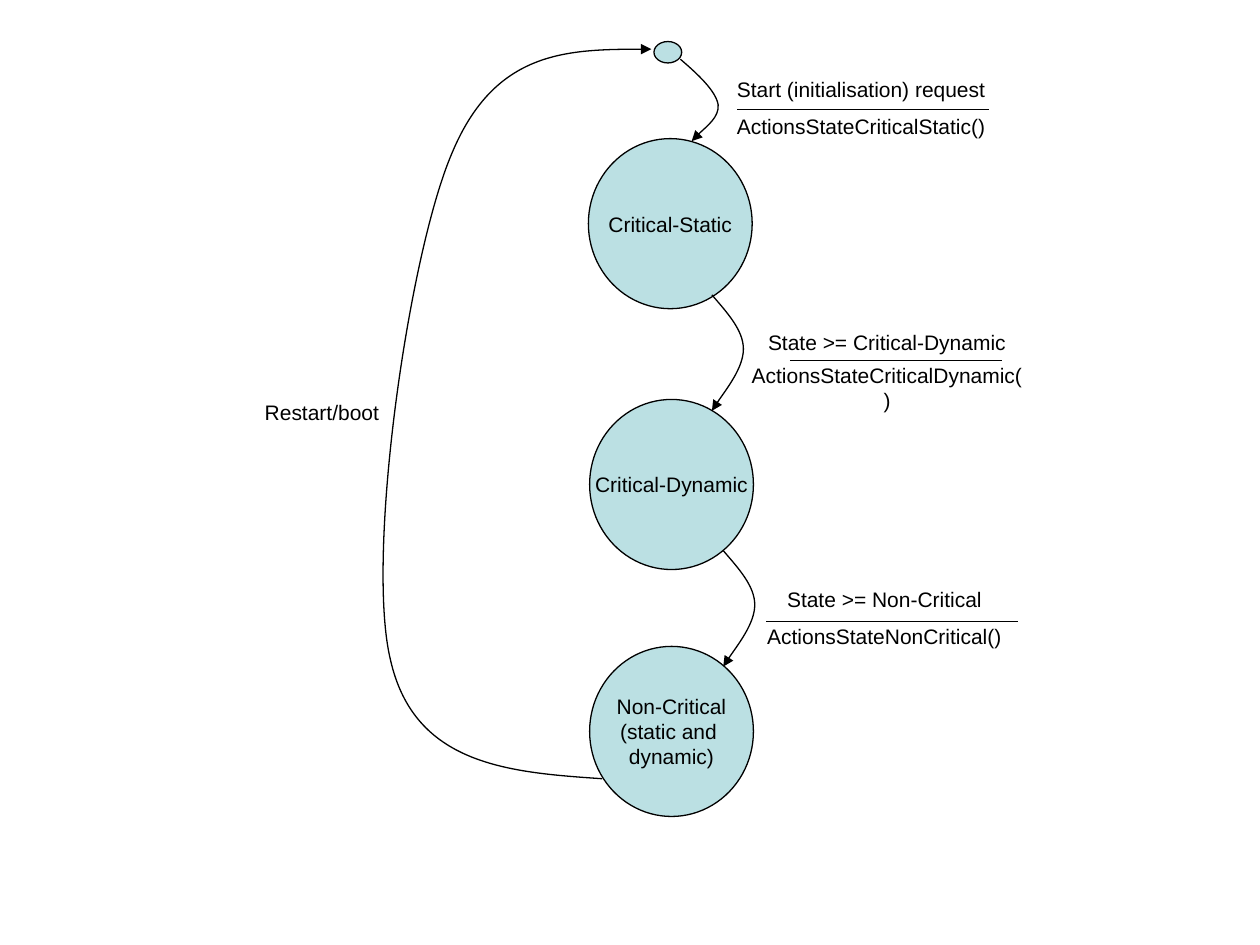
import pptx
import pptx.dml.color
import pptx.enum.shapes
import pptx.enum.text
import pptx.oxml
import pptx.oxml.ns
import pptx.util

PX = 9144
BLACK = pptx.dml.color.RGBColor(0x00, 0x00, 0x00)
PALE_TEAL = pptx.dml.color.RGBColor(0xBB, 0xE0, 0xE3)
TEXT_H = 30
STEP_CURVE = [(0, 0), (12, 14), (25, 28), (25, 43), (25, 58), (4, 85), (0, 92)]
START_CURVE = [(0, 0), (14, 12), (28, 25), (30, 36), (31, 46), (12, 61), (9, 65)]
RESTART_CURVE = [(188, 579), (113, 574), (39, 568), (20, 485), (0, 403),
                 (34, 163), (69, 82), (103, 1), (165, 0), (227, 0)]


def emu(*lengths):
    return [pptx.util.Emu(n * PX) for n in lengths]


def style_line(line):
    line.color.rgb = BLACK
    line.width = pptx.util.Pt(0.75)


def write(sp, text):
    tf = sp.text_frame
    tf.word_wrap = False
    tf.text = text
    for p in tf.paragraphs:
        p.alignment = pptx.enum.text.PP_ALIGN.CENTER
        for r in p.runs:
            r.font.name = "Arial"
            r.font.size = pptx.util.Pt(12)
            r.font.color.rgb = BLACK


def add_state(s, box, text=""):
    sp = s.shapes.add_shape(pptx.enum.shapes.MSO_SHAPE.OVAL, *emu(*box))
    sp.shadow.inherit = False
    sp.fill.solid()
    sp.fill.fore_color.rgb = PALE_TEAL
    style_line(sp.line)
    if text:
        sp.text_frame.vertical_anchor = pptx.enum.text.MSO_ANCHOR.MIDDLE
        write(sp, text)


def add_text(s, box, text):
    sp = s.shapes.add_textbox(*emu(*box))
    write(sp, text)
    sp.text_frame.auto_size = pptx.enum.text.MSO_AUTO_SIZE.SHAPE_TO_FIT_TEXT


def add_curve(s, left, top, points):
    start, *rest = [(left + x, top + y) for x, y in points]
    fb = s.shapes.build_freeform(*start, scale=PX)
    fb.add_line_segments(rest, close=False)
    sp = fb.convert_to_shape()
    sp.shadow.inherit = False
    sp.fill.background()
    style_line(sp.line)
    qn = pptx.oxml.ns.qn
    outline = next(sp._element.iter(qn("a:path")))
    segments = outline.findall(qn("a:lnTo"))
    for i in range(0, len(segments), 3):
        cubic = outline.makeelement(qn("a:cubicBezTo"), {})
        for segment in segments[i:i + 3]:
            cubic.append(segment[0])
            outline.remove(segment)
        outline.append(cubic)
    ln = sp.line._get_or_add_ln()
    ln.append(ln.makeelement(qn("a:tailEnd"), {"type": "triangle"}))


def add_rule(s, left, top, width):
    ends = emu(left, top, left + width, top)
    cxn = s.shapes.add_connector(pptx.enum.shapes.MSO_CONNECTOR.STRAIGHT, *ends)
    style_line(cxn.line)
    sp_pr = cxn._element.spPr
    sp_pr.append(sp_pr.makeelement(pptx.oxml.ns.qn("a:effectLst"), {}))


def add_transition_label(s, box, condition, action, rule):
    left, top, width, height = box
    rule_x, rule_y, rule_w = rule
    add_text(s, (left, top, width, TEXT_H), condition)
    add_text(s, (left, top + height - TEXT_H, width, TEXT_H), action)
    add_rule(s, left + rule_x, top + rule_y, rule_w)


def main():
    prs = pptx.Presentation()
    prs.slide_width, prs.slide_height = emu(1000, 750)
    s = prs.slides.add_slide(prs.slide_layouts[6])

    add_state(s, (519, 33, 22, 17))
    add_state(s, (467, 110, 130, 135), "Critical-Static")
    add_state(s, (468, 317, 130, 135), "Critical-Dynamic")

    add_curve(s, 540, 47, START_CURVE)
    add_curve(s, 565, 234, STEP_CURVE)
    add_curve(s, 574, 437, STEP_CURVE)
    add_curve(s, 290, 39, RESTART_CURVE)

    add_transition_label(s, (575, 56, 217, 59), "Start (initialisation) request",
                         "ActionsStateCriticalStatic()", (10, 31, 200))
    add_transition_label(s, (584, 257, 240, 56), "State >= Critical-Dynamic",
                         "ActionsStateCriticalDynamic()", (43, 29, 168))
    add_transition_label(s, (599, 461, 206, 59), "State >= Non-Critical",
                         "ActionsStateNonCritical()", (9, 32, 200))
    add_text(s, (200, 312, 111, TEXT_H), "Restart/boot")

    add_state(s, (468, 513, 130, 135), "Non-Critical\n(static and \ndynamic)")
    prs.save("out.pptx")


if __name__ == "__main__":
    main()
